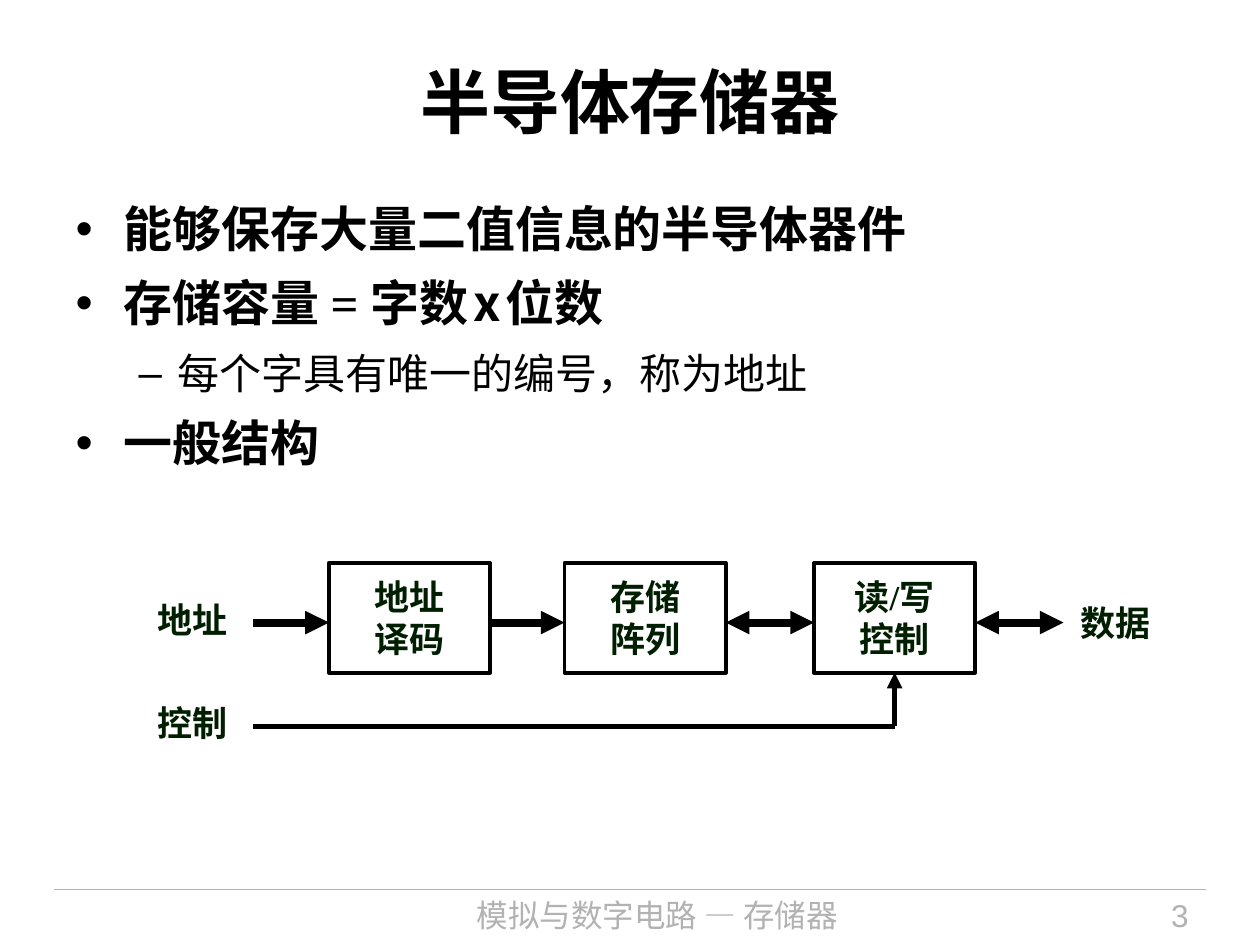
from dataclasses import dataclass

from lxml.etree import SubElement
from pptx import Presentation
from pptx.dml.color import RGBColor
from pptx.enum.shapes import MSO_CONNECTOR, MSO_SHAPE
from pptx.enum.text import MSO_ANCHOR as Anchor, MSO_AUTO_SIZE as AutoSize, PP_ALIGN as Align
from pptx.oxml.ns import qn
from pptx.util import Cm, Pt


@dataclass(frozen=True)
class Theme:
    black: RGBColor = RGBColor(0, 0, 0)
    label: RGBColor = RGBColor(0x00, 0x1E, 0x00)
    footer: RGBColor = RGBColor(0xB2, 0xB2, 0xB2)
    sans: str = "Noto Sans CJK SC"
    serif: str = "Times New Roman"
    latin: str = "Arial"
    title_size: int = 40
    bullet_size: int = 28
    sub_size: int = 24
    diagram_size: int = 20
    footer_size: int = 18
    gap_size: int = 12


THEME = Theme()
BULLETS = [
    (0, [("能够保存大量二值信息的半导体器件", THEME.sans, THEME.bullet_size)]),
    (0, [
        ("存储容量 ", THEME.sans, THEME.bullet_size),
        ("= ", THEME.serif, THEME.bullet_size),
        ("字数", THEME.sans, THEME.bullet_size),
        (" ", THEME.sans, THEME.gap_size),
        ("x", THEME.sans, THEME.bullet_size),
        (" ", THEME.sans, THEME.gap_size),
        ("位数", THEME.sans, THEME.bullet_size),
    ]),
    (1, [("每个字具有唯一的编号，称为地址", THEME.sans, THEME.sub_size)]),
    (0, [("一般结构", THEME.sans, THEME.bullet_size)]),
]
# Per level: bullet sign, left margin, hanging indent, bold
LEVELS = [("•", Cm(0.97), Cm(-0.97), True), ("–", Cm(2.06), Cm(-0.79), False)]

BLOCKS = [(6.63, "地址\n译码"), (11.38, "存储\n阵列"), (16.41, "读/写\n控制")]
BLOCK_TOP, BLOCK_WIDTH, BLOCK_HEIGHT = 11.35, 3.25, 2.21
FLOW_Y, CONTROL_Y = 12.55, 14.64
INPUT_X, OUTPUT_X = 5.11, 21.44


def place(shape, left, top, width, height):
    shape.left, shape.top = Cm(left), Cm(top)
    shape.width, shape.height = Cm(width), Cm(height)


def style_span(span, font, size, color, bold=False):
    span.font.size = Pt(size)
    span.font.bold = bold
    span.font.color.rgb = color
    span.font.name = font
    SubElement(span.font._element, qn("a:ea"), typeface=THEME.sans)


def write(frame, text, font, size, color, bold=False, align=Align.CENTER):
    frame.text = text
    for para in frame.paragraphs:
        para.alignment = align
        for span in para.runs:
            style_span(span, font, size, color, bold)


def remove_margins(frame):
    frame.margin_left = frame.margin_right = frame.margin_top = frame.margin_bottom = 0
    frame.word_wrap = False


def add_title(page, text):
    title = page.shapes.title
    place(title, 1.27, 0.43, 22.86, 3.18)
    title.text_frame.vertical_anchor = Anchor.MIDDLE
    write(title.text_frame, text, THEME.serif, THEME.title_size, THEME.black, bold=True)


def add_bullets(page):
    body = page.placeholders[1]
    place(body, 1.27, 4.01, 22.83, 5.99)
    frame = body.text_frame
    frame.auto_size = AutoSize.TEXT_TO_FIT_SHAPE
    for number, (level, pieces) in enumerate(BULLETS):
        para = frame.add_paragraph() if number else frame.paragraphs[0]
        sign, margin, indent, bold = LEVELS[level]
        para.level = level
        para.line_spacing = 0.9
        para.space_before, para.space_after = Pt(0), Pt(12)
        props = para._p.get_or_add_pPr()
        props.set("marL", str(margin))
        props.set("indent", str(indent))
        SubElement(props, qn("a:buChar"), char=sign)
        for text, font, size in pieces:
            span = para.add_run()
            span.text = text
            style_span(span, font, size, THEME.black, bold)


def add_block(page, left, text):
    block = page.shapes.add_shape(MSO_SHAPE.RECTANGLE, 0, 0, 0, 0)
    place(block, left, BLOCK_TOP, BLOCK_WIDTH, BLOCK_HEIGHT)
    block.shadow.inherit = False
    block.fill.background()
    block.line.color.rgb = THEME.black
    block.line.width = Pt(2.25)
    remove_margins(block.text_frame)
    block.text_frame.vertical_anchor = Anchor.MIDDLE
    write(block.text_frame, text, THEME.serif, THEME.diagram_size, THEME.label, bold=True)


def add_label(page, left, top, text, font):
    box = page.shapes.add_textbox(0, 0, 0, 0)
    place(box, left, top, 1.42, 0.84)
    remove_margins(box.text_frame)
    box.text_frame.auto_size = AutoSize.SHAPE_TO_FIT_TEXT
    write(box.text_frame, text, font, THEME.diagram_size, THEME.label, True, Align.LEFT)


def add_line(page, start, end, width, color=THEME.black, arrows=()):
    """Draw a line; arrows names its pointed ends: headEnd at start, tailEnd at end."""
    points = [Cm(value) for value in (*start, *end)]
    line = page.shapes.add_connector(MSO_CONNECTOR.STRAIGHT, *points)
    line.line.color.rgb = color
    line.line.width = Pt(width)
    outline = line.line._get_or_add_ln()
    for arrow in arrows:
        SubElement(outline, qn(f"a:{arrow}"), type="triangle")
    SubElement(line._element.spPr, qn("a:effectLst"))


def add_diagram(page):
    for left, text in BLOCKS:
        add_block(page, left, text)
    add_label(page, 3.18, 12.07, "地址", THEME.latin)
    add_label(page, 3.18, 14.15, "控制", THEME.serif)
    add_label(page, 21.79, 12.12, "数据", THEME.latin)

    lefts = [left for left, _ in BLOCKS]
    starts = [INPUT_X] + [left + BLOCK_WIDTH for left in lefts]
    ends = lefts + [OUTPUT_X]
    for number, (start, end) in enumerate(zip(starts, ends)):
        arrows = ("tailEnd",) if number < 2 else ("headEnd", "tailEnd")
        add_line(page, (start, FLOW_Y), (end, FLOW_Y), 4.5, arrows=arrows)

    corner = (lefts[-1] + BLOCK_WIDTH / 2, CONTROL_Y)
    add_line(page, corner, (corner[0], BLOCK_TOP + BLOCK_HEIGHT), 3, arrows=("tailEnd",))
    add_line(page, (INPUT_X, CONTROL_Y), corner, 3)


def add_footer(page):
    top = 17.93
    add_line(page, (1.09, top), (24.31, top), 0.75, THEME.footer)
    for left, width, text, font, align in [
        (6.1, 14.3, "模拟与数字电路 — 存储器", THEME.sans, Align.CENTER),
        (20.83, 3.38, "3", THEME.latin, Align.RIGHT),
    ]:
        box = page.shapes.add_textbox(0, 0, 0, 0)
        place(box, left, top, width, 1.12)
        box.text_frame.word_wrap = True
        write(box.text_frame, text, font, THEME.footer_size, THEME.footer, align=align)


def main():
    deck = Presentation()
    deck.slide_width, deck.slide_height = Cm(25.4), Cm(19.05)
    page = deck.slides.add_slide(deck.slide_layouts[1])
    add_footer(page)
    add_title(page, "半导体存储器")
    add_bullets(page)
    add_diagram(page)
    deck.save("out.pptx")


if __name__ == "__main__":
    main()
